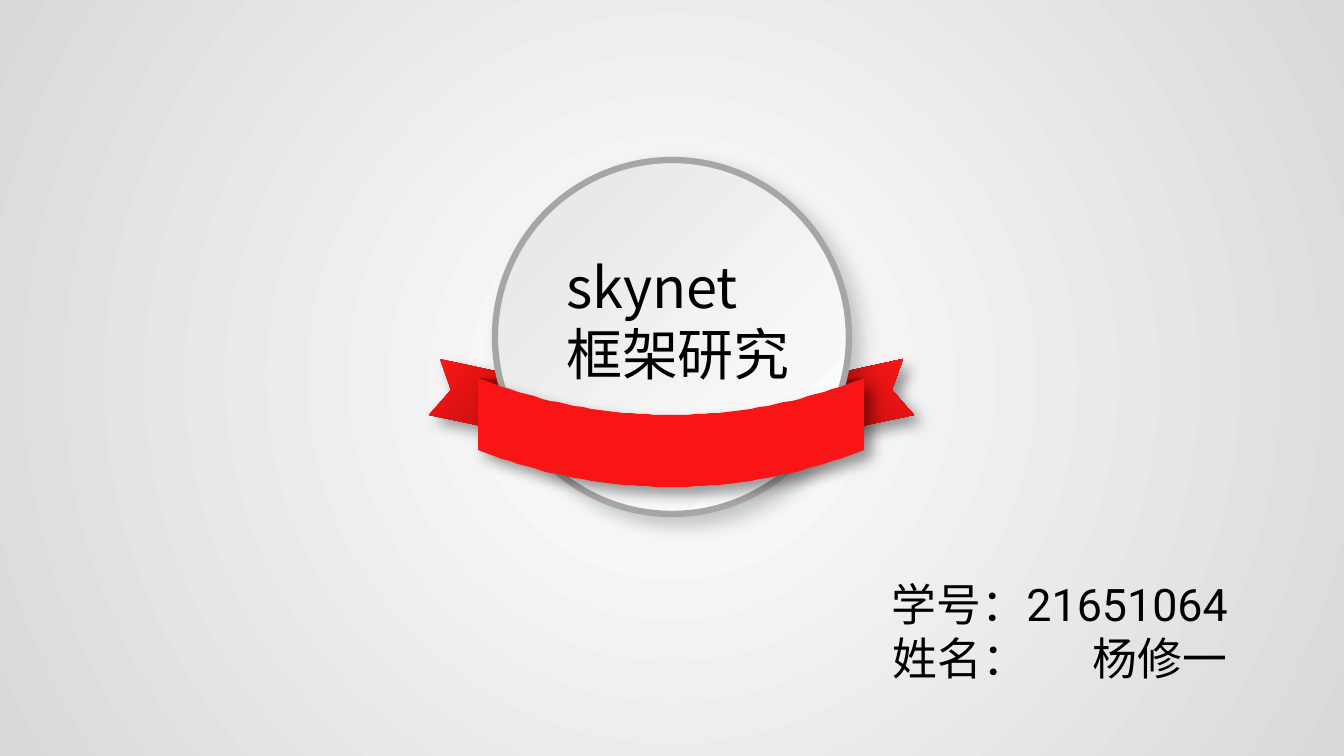
from lxml import etree
from pptx import Presentation
from pptx import util as u
from pptx.dml.color import RGBColor
from pptx.enum import shapes, text
from pptx.oxml import parse_xml
from pptx.oxml.ns import qn

# Content: each run is (text, extra letter spacing in points)
TITLE = [[("skynet", 0)], [("框架研究", 0)]]
AUTHOR = [
    [("学号：21651064", 0)],
    [("姓名", 0), ("：", 47), ("杨修一", 0)],
]

HEX = {"ink": "000000", "ring": "A6A6A6", "fold": "A60A0A", "band": "F91515"}
REDS = [(0, "970D0D"), (50, "D71212"), (100, "FF1616")]
DISC = [(0, "E4E4E4"), (100, "FFFFFF")]
BACK = [(0, "FFFFFF"), (100, "D9D9D9")]
CJK, LATIN = "Noto Sans CJK JP", "Roboto"

# Geometry in px; the left side of the ribbon mirrors the right
WIDE, HIGH = 1344, 756
MIRROR = 1343
TAIL = [(797, 382), (903, 359), (892, 390), (914, 415), (809, 437)]
FOLD = [(865, 378), (797, 382), (803, 416)]
BAND = (478, 864, 378, 450)  # left, right, top, lower edge at the ends
SAG, STEPS = 37, 48
RING = (495, 160, 354, 354)
TITLE_AT = (556, 247, 295, 144)
AUTHOR_AT = (802, 572, 516, 121)

NS = 'xmlns:a="http://schemas.openxmlformats.org/drawingml/2006/main"'
SCALE = 12192000 / WIDE


def px(n):
    return round(n * SCALE)


def grad(stops, ang=None, rect=None):
    """Gradient fill: linear at an angle, or circular around a rectangle."""
    marks = "".join(
        f'<a:gs pos="{pos * 1000}"><a:srgbClr val="{tint}"/></a:gs>'
        for pos, tint in stops)
    if rect:
        sides = " ".join(f'{k}="{v * 1000}"' for k, v in zip("ltrb", rect))
        way = f'<a:path path="circle"><a:fillToRect {sides}/></a:path>'
    else:
        way = f'<a:lin ang="{ang * 60000}" scaled="0"/>'
    return parse_xml(f'<a:gradFill {NS} rotWithShape="1">'
                     f'<a:gsLst>{marks}</a:gsLst>{way}</a:gradFill>')


def shade(shape, stops, **way):
    """Swap the solid fill of a shape for a gradient."""
    shape.fill.solid()
    props = shape.fill._xPr
    props.replace(props.find(qn("a:solidFill")), grad(stops, **way))


def shadow(shape, alpha, blur, dist):
    shape.shadow.inherit = False
    glow = shape._element.spPr.find(qn("a:effectLst"))
    glow.append(parse_xml(
        f'<a:outerShdw {NS} blurRad="{u.Pt(blur)}" dist="{u.Pt(dist)}" '
        f'dir="2700000" algn="tl" rotWithShape="0"><a:srgbClr val="000000">'
        f'<a:alpha val="{alpha * 1000}"/></a:srgbClr></a:outerShdw>'))


def outline(slide, points, tint=None):
    pen = slide.shapes.build_freeform(*points[0], scale=SCALE)
    pen.add_line_segments(points[1:], close=True)
    shape = pen.convert_to_shape()
    shape.shadow.inherit = False
    shape.line.fill.background()
    if tint:
        shape.fill.solid()
        shape.fill.fore_color.rgb = RGBColor.from_string(HEX[tint])
    return shape


def write(box, lines, place, size, face, align):
    box.left, box.top, box.width, box.height = map(px, place)
    frame = box.text_frame
    frame.word_wrap = True
    frame.auto_size = text.MSO_AUTO_SIZE.NONE
    frame.vertical_anchor = text.MSO_ANCHOR.TOP
    for i, line in enumerate(lines):
        para = frame.add_paragraph() if i else frame.paragraphs[0]
        para.alignment = align
        for words, gap in line:
            run = para.add_run()
            run.text = words
            run.font.size = u.Pt(size)
            run.font.name = face
            run.font.color.rgb = RGBColor.from_string(HEX["ink"])
            props = run.font._element
            etree.SubElement(props, qn("a:ea")).set("typeface", CJK)
            if gap:
                props.set("spc", str(gap * 100))


def main():
    deck = Presentation()
    deck.slide_width, deck.slide_height = px(WIDE), px(HIGH)
    slide = deck.slides.add_slide(deck.slide_layouts[5])

    # Background
    fill = slide.background.fill
    fill.solid()
    props = fill._xPr
    props.replace(props.find(qn("a:solidFill")),
                  grad(BACK, rect=(50, 50, 50, 50)))

    # Ribbon tails and folds
    for flip, way in ((False, {"ang": 315}), (True, {"rect": (100, 100, 0, 0)})):
        tail, fold = [
            [(MIRROR - x if flip else x, y) for x, y in part]
            for part in (TAIL, FOLD)]
        shape = outline(slide, tail)
        shade(shape, REDS, **way)
        shadow(shape, 40, 10, 8)
        outline(slide, fold, "fold")

    # Disc
    disc = slide.shapes.add_shape(shapes.MSO_SHAPE.OVAL, *map(px, RING))
    shade(disc, DISC, ang=45)
    disc.line.color.rgb = RGBColor.from_string(HEX["ring"])
    disc.line.width = u.Pt(4.5)
    shadow(disc, 22, 14, 9)

    # Curved band: both edges follow one parabola
    left, right, top, low = BAND
    curve = [(left + (right - left) * i / STEPS,
              4 * SAG * i / STEPS * (1 - i / STEPS)) for i in range(STEPS + 1)]
    edge = [(x, top + y) for x, y in curve]
    edge += [(x, low + y) for x, y in reversed(curve)]
    shadow(outline(slide, edge, "band"), 40, 10, 8)

    # Title, in front of the disc, and author
    title = slide.shapes.title
    slide.shapes._spTree.append(title._element)
    write(title, TITLE, TITLE_AT, 40, CJK, text.PP_ALIGN.LEFT)
    author = slide.shapes.add_textbox(0, 0, 0, 0)
    write(author, AUTHOR, AUTHOR_AT, 32, LATIN, text.PP_ALIGN.CENTER)

    deck.save("out.pptx")


if __name__ == "__main__":
    main()
